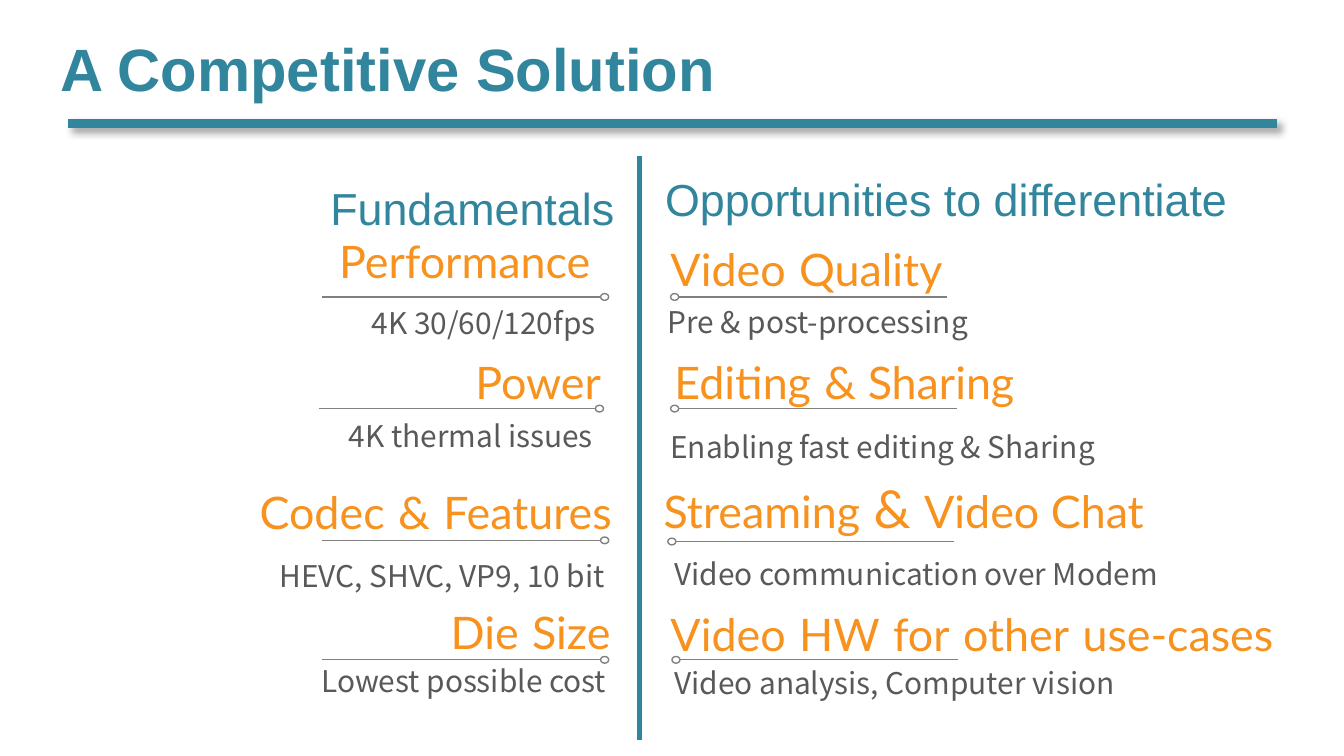
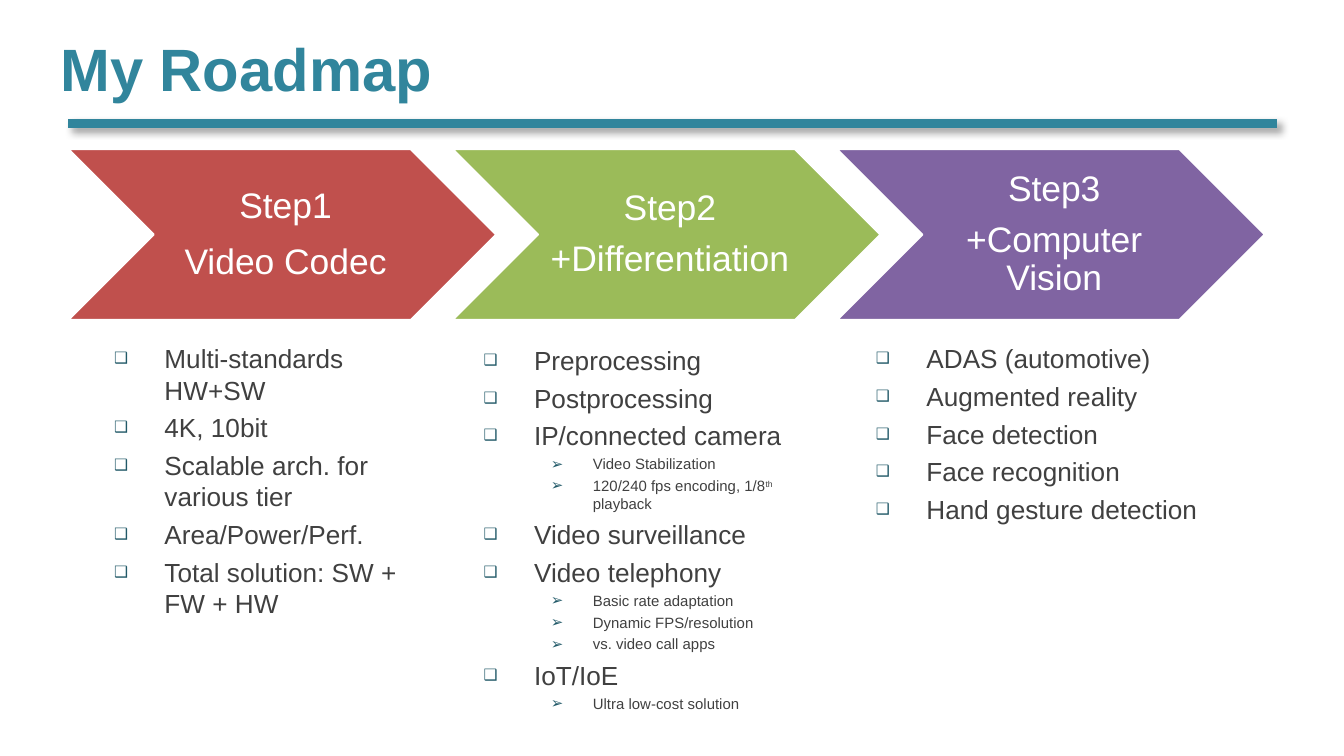
from collections import namedtuple

from lxml import etree
from pptx import Presentation
from pptx import util as u
from pptx.dml.color import RGBColor
from pptx.enum import shapes, text
from pptx.oxml import ns

Pt = u.Pt
TEAL = RGBColor(0x31, 0x85, 0x9C)
DEEP = RGBColor(0x21, 0x59, 0x68)
ORANGE = RGBColor(0xF7, 0x92, 0x1E)
RED = RGBColor(0xC0, 0x50, 0x4D)
GREEN = RGBColor(0x9B, 0xBB, 0x59)
PURPLE = RGBColor(0x80, 0x64, 0xA2)
GRAY = RGBColor(0x80, 0x80, 0x80)
SLATE = RGBColor(0x59, 0x59, 0x59)
DARK = RGBColor(0x40, 0x40, 0x40)
WHITE = RGBColor(0xFF, 0xFF, 0xFF)
BLACK = RGBColor(0, 0, 0)

SANS, LABEL, NOTE = "Arial", "Lato", "Noto Sans CJK KR"
LEFT, RIGHT = -1, 1
ALIGN = {LEFT: text.PP_ALIGN.RIGHT, RIGHT: text.PP_ALIGN.LEFT}
MID = text.MSO_ANCHOR.MIDDLE

# Distances run outwards from the divider and down from its top
Row = namedtuple("Row", "label gap top width high tip rule span "
                 "note inset drop room")

BASICS = [
    Row("Performance", 19.4, 38.2, 160.6, 36, 16.6, 75.6, 153.4,
        "4K 30/60/120fps", 16.6, 79.2, 193),
    Row("Power", 13.7, 103, 198.7, 36, 19.4, 135.4, 152.6,
        "4K thermal issues", 18, 139.7, 285.8),
    Row("Codec| |&| |Features", 7.9, 168.5, 245.5, 41, 16.6, 206, 153.4,
        "HEVC, SHVC, VP9, 10 bit", 11.5, 214.6, 199.4),
    Row("Die| |Size", 8.6, 232.6, 235.4, 41, 16.6, 270, 153.4,
        "Lowest possible cost", 10.8, 270.7, 190.8),
]
CHANCES = [
    Row("Video| |Quality", 9.4, 38.2, 170, 41, 16.6, 75.6, 148,
        "Pre & post-processing", 7.9, 78.5, 179.3),
    Row("Editing| |& Sharing", 11.5, 98.7, 251.3, 41, 16.6, 135.4, 153.4,
        "Enabling fast editing & Sharing", 9.4, 145.4, 262),
    Row("Streaming| & |Video Chat", 5.8, 167.8, 324, 41, 15.1, 206.6, 153.4,
        "Video communication over Modem", 11.5, 213.8, 303),
    Row("Video| |HW| |for| |other| |use-cases", 9.4, 234, 353.5, 41,
        17.3, 270, 153.4,
        "Video analysis, Computer vision", 11.5, 272.2, 268),
]

# Each step: colour, caption, list box, items; a nested list holds sub-items
STEPS = [
    (RED, ("Step1", "Video Codec"), (54, 180, 181.4, 204.5),
     ["Multi-standards HW+SW", "4K, 10bit", "Scalable arch. for various tier",
      "Area/Power/Perf.", "Total solution: SW + FW + HW"]),
    (GREEN, ("Step2", "+Differentiation"), (252, 181, 181.4, 204.5),
     ["Preprocessing", "Postprocessing", "IP/connected camera",
      ["Video Stabilization", "120/240 fps encoding, 1/8^th^ playback"],
      "Video surveillance", "Video telephony",
      ["Basic rate adaptation", "Dynamic FPS/resolution",
       "vs. video call apps"],
      "IoT/IoE", ["Ultra low-cost solution"]]),
    (PURPLE, ("Step3", "+Computer Vision"), (462.2, 180, 209.5, 204.5),
     ["ADAS (automotive)", "Augmented reality", "Face detection",
      "Face recognition", "Hand gesture detection"]),
]


def frame(slide, box, anchor=text.MSO_ANCHOR.TOP):
    area = slide.shapes.add_textbox(*map(Pt, box)).text_frame
    area.word_wrap = True
    area.vertical_anchor = anchor
    return area


def write(para, words, face, size, color, bold=False):
    run = para.add_run()
    run.text = words
    font = run.font
    font.name, font.size, font.bold = face, Pt(size), bold
    font.color.rgb = color
    return run


def line(slide, start, end, color, width):
    rule = slide.shapes.add_connector(
        shapes.MSO_CONNECTOR.STRAIGHT, *map(Pt, start + end))
    rule.line.color.rgb = color
    rule.line.width = Pt(width)
    return etree.SubElement(rule._element.spPr, ns.qn("a:effectLst"))


def head(slide, title):
    # Shadowed rule under the title
    glow = line(slide, (36.7, 66.2), (684, 66.2), TEAL, 4.5)
    shade = etree.SubElement(
        glow, ns.qn("a:outerShdw"), blurRad=str(Pt(4)), dist=str(Pt(3)),
        dir="2700000", algn="tl", rotWithShape="0")
    tint = etree.SubElement(shade, ns.qn("a:srgbClr"), val=str(BLACK))
    etree.SubElement(tint, ns.qn("a:alpha"), val="40000")
    area = frame(slide, (25.2, 2.2, 694.8, 67.7), MID)
    write(area.paragraphs[0], title, SANS, 32, TEAL, True)


def column(slide, mid, top, side, rows):
    def place(gap, drop, width, high):
        left = mid + gap if side == RIGHT else mid - gap - width
        return left, top + drop, width, high

    for row in rows:
        # Label, with wider spaces between the marked parts
        area = frame(slide, place(row.gap, row.top, row.width, row.high), MID)
        para = area.paragraphs[0]
        para.alignment = ALIGN[side]
        for i, part in enumerate(row.label.split("|")):
            write(para, part, LABEL, 28 if i % 2 else 24, ORANGE)

        # Rule with a ring at the inner end
        ring = slide.shapes.add_shape(
            shapes.MSO_SHAPE.OVAL,
            *map(Pt, place(row.tip, row.rule - 1.8, 4.3, 3.6)))
        ring.shadow.inherit = False
        ring.fill.background()
        ring.line.color.rgb = GRAY
        ring.line.width = Pt(0.75)
        level = top + row.rule
        line(slide, (mid + side * (row.tip + row.span), level),
             (mid + side * (row.tip + 4.3), level), GRAY, 0.75)

        # Note
        area = frame(slide, place(row.inset, row.drop, row.room, 23.8))
        para = area.paragraphs[0]
        para.alignment = ALIGN[side]
        para.line_spacing = 0.85
        write(para, row.note, NOTE, 16, SLATE)


def topic(slide, box, inset, words):
    area = frame(slide, box)
    area.margin_top = Pt(inset)
    write(area.paragraphs[0], words, SANS, 24, TEAL)


def compare(slide, mid, top):
    head(slide, "A Competitive Solution")
    topic(slide, (mid - 172.8, top + 2.2, 182.9, 33.8), 11, "Fundamentals")
    topic(slide, (mid + 6.5, top + 2.9, 320.4, 33.8), 5.5,
          "Opportunities to differentiate")
    column(slide, mid, top, LEFT, BASICS)
    column(slide, mid, top, RIGHT, CHANCES)
    line(slide, (mid, top), (mid, top + 313.2), TEAL, 3)


def arrow(slide, left, top, color, caption):
    wide, high = 229, 91.4
    shape = slide.shapes.add_shape(
        shapes.MSO_SHAPE.CHEVRON, *map(Pt, (left, top, wide, high)))
    shape.shadow.inherit = False
    shape.fill.solid()
    shape.fill.fore_color.rgb = color
    shape.line.color.rgb = WHITE
    shape.line.width = Pt(1)
    area = frame(slide, (left + high / 2, top, wide - high, high), MID)
    area.margin_left = Pt(5.8)
    area.margin_top = area.margin_right = area.margin_bottom = Pt(2.2)
    first, last = area.paragraphs[0], area.add_paragraph()
    for para, words in zip((first, last), caption):
        para.alignment = text.PP_ALIGN.CENTER
        para.line_spacing = 0.9
        write(para, words, SANS, 19, WHITE)
    first.space_after = Pt(7)
    if caption[0] == "Step1":
        last.line_spacing = 1.0


def bullet(para, mark, size, left, hang):
    props = para._p.get_or_add_pPr()
    props.set("marL", str(Pt(left)))
    props.set("indent", str(-Pt(hang)))
    color = etree.SubElement(props, ns.qn("a:buClr"))
    etree.SubElement(color, ns.qn("a:srgbClr"), val=str(DEEP))
    etree.SubElement(props, ns.qn("a:buSzPct"), val=str(size * 1000))
    etree.SubElement(props, ns.qn("a:buFont"), typeface=SANS)
    etree.SubElement(props, ns.qn("a:buChar"), char=mark)


def points(slide, box, items):
    area = frame(slide, box)
    flat = [(sub, isinstance(item, list)) for item in items
            for sub in (item if isinstance(item, list) else [item])]
    for i, (words, deep) in enumerate(flat):
        para = area.add_paragraph() if i else area.paragraphs[0]
        if deep:
            para.level = 1
            bullet(para, "➢", 100, 58.5, 22.5)
        else:
            bullet(para, "❑", 60, 27, 27)
        if i:
            para.space_before = Pt(2 if deep else 3.4)
        # Text between carets is raised
        for j, part in enumerate(words.split("^")):
            run = write(para, part, SANS, 8 if deep else 14, DARK)
            if j % 2:
                run._r.get_or_add_rPr().set("baseline", "30000")


def roadmap(slide, left, top):
    head(slide, "My Roadmap")
    for i, (color, caption, box, items) in enumerate(STEPS):
        arrow(slide, left + i * 205.9, top, color, caption)
        points(slide, box, items)


def main():
    deck = Presentation()
    deck.slide_width, deck.slide_height = Pt(720), Pt(405)
    blank = deck.slide_layouts[6]
    compare(deck.slides.add_slide(blank), 342.7, 83.5)
    roadmap(deck.slides.add_slide(blank), 36.7, 80)
    deck.save("out.pptx")


if __name__ == "__main__":
    main()
